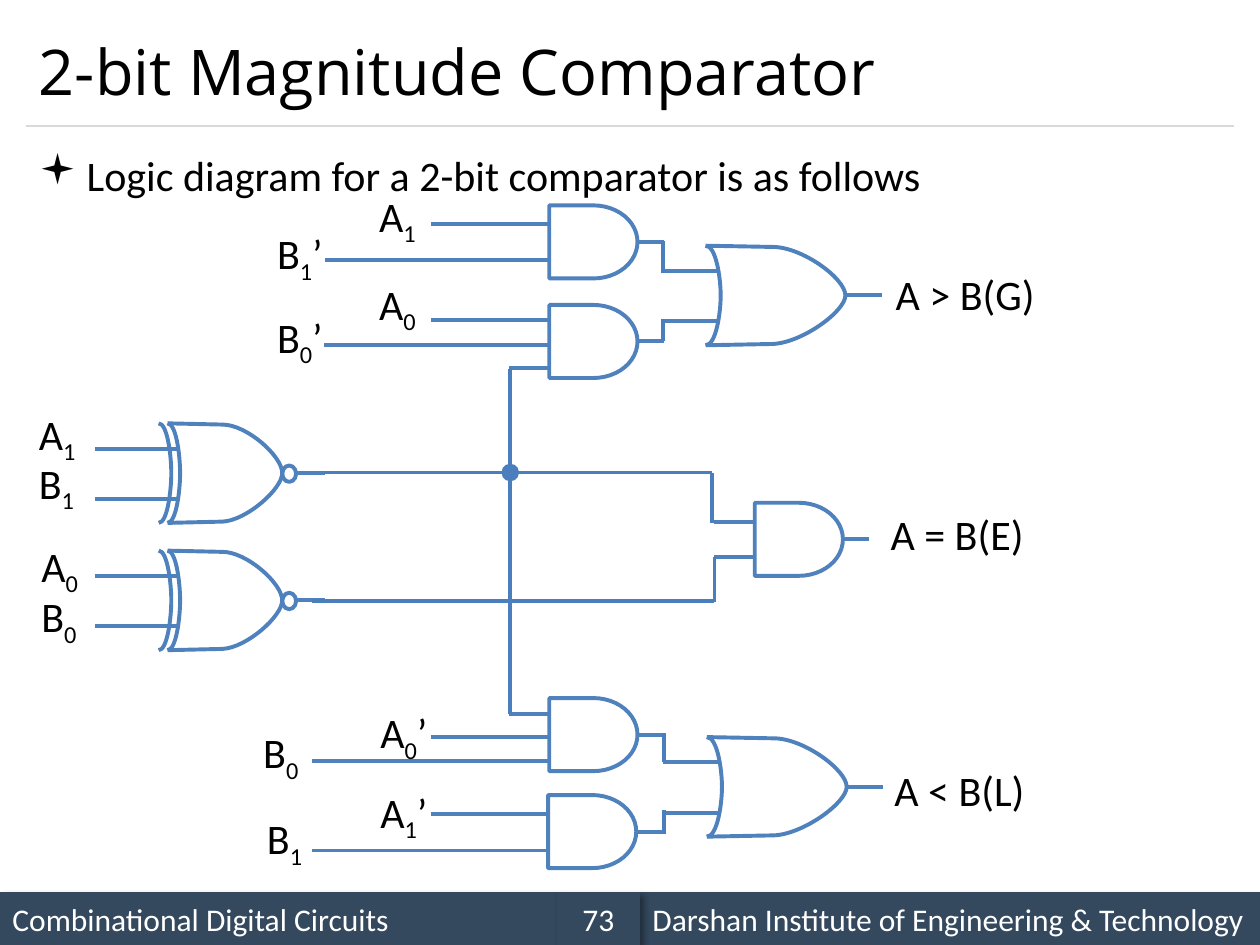
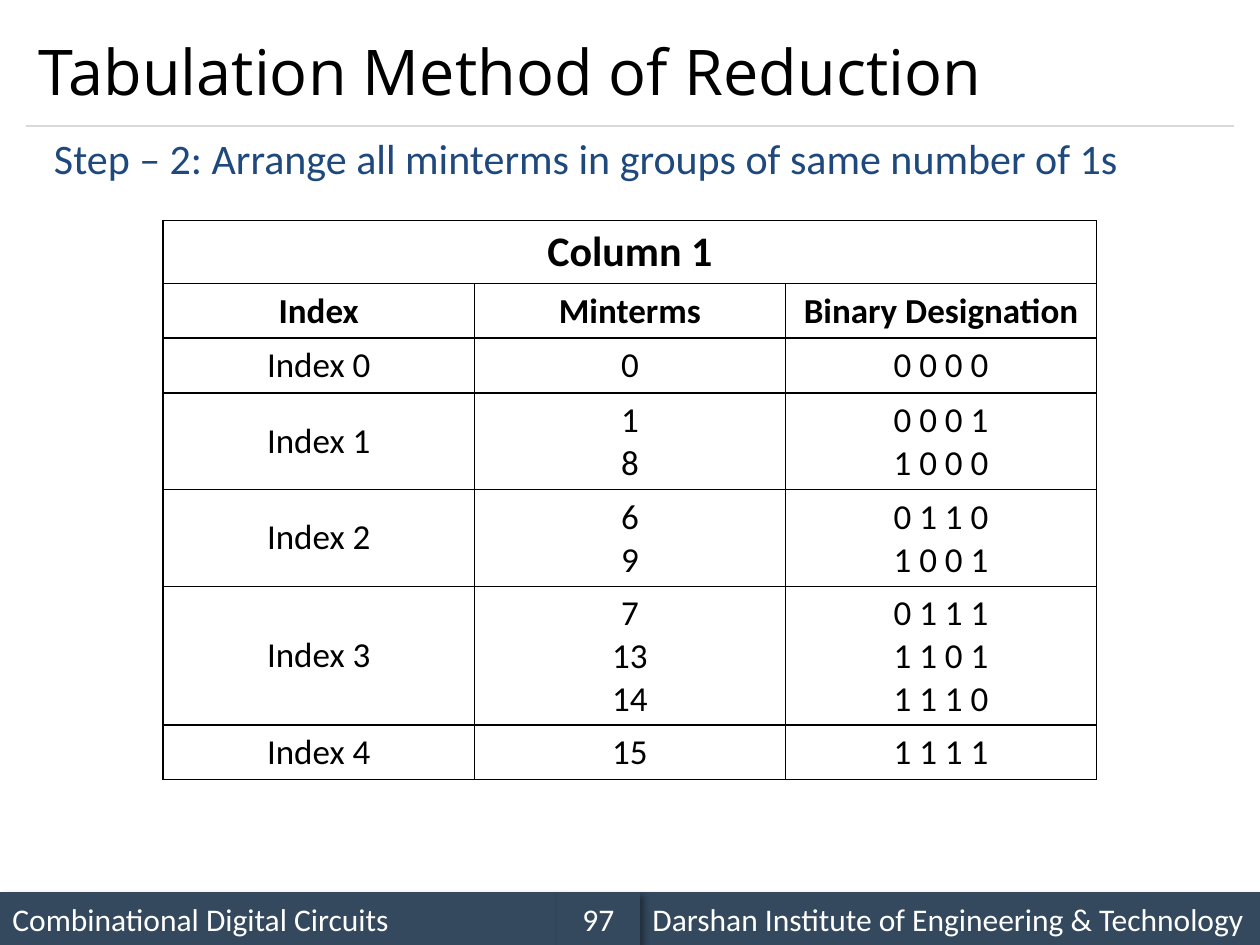
import itertools
from dataclasses import dataclass
from typing import Any, NamedTuple

import pptx
import pptx.dml.color
import pptx.enum.shapes
import pptx.enum.text
import pptx.oxml
import pptx.oxml.ns
import pptx.util

BLACK = pptx.dml.color.RGBColor(0x00, 0x00, 0x00)
WHITE = pptx.dml.color.RGBColor(0xFF, 0xFF, 0xFF)
BAND = pptx.dml.color.RGBColor(0x34, 0x49, 0x5E)
RULE = pptx.dml.color.RGBColor(0xD9, 0xD9, 0xD9)
GATE = pptx.dml.color.RGBColor(0x4F, 0x81, 0xBD)
WIRE = pptx.dml.color.RGBColor(0x4B, 0x7E, 0xBC)
STEP = pptx.dml.color.RGBColor(0x1F, 0x49, 0x7D)

SHAPE = pptx.enum.shapes.MSO_SHAPE
MIDDLE = pptx.enum.text.MSO_ANCHOR.MIDDLE
TOP = pptx.enum.text.MSO_ANCHOR.TOP
LEFT = pptx.enum.text.PP_ALIGN.LEFT
CENTER = pptx.enum.text.PP_ALIGN.CENTER

PAGE_WIDTH, PAGE_HEIGHT = 10, 7.5
GATE_HEIGHT = 0.79
AND_WIDTH, AND_HEIGHT = 0.7, 0.58
COLUMN_WIDTH, ROW_HEIGHT = 2.47, 0.41

Point = tuple[float, float]
Segment = tuple[Point, ...]


def inch(value: float) -> int:
    return pptx.util.Cm(value * 2.54)


def font_format(size: float, color: Any = BLACK, name: str = "Calibri", bold: bool = False) -> dict[str, Any]:
    return {"size": pptx.util.Pt(size), "name": name, "bold": bold, "color": color}


BODY = font_format(24)
TITLE = font_format(36, name="Open Sans")
FOOTER = font_format(18, WHITE)


class Area(NamedTuple):
    left: float
    top: float
    width: float
    height: float

    def lengths(self) -> list[int]:
        return [inch(value) for value in self]


class Wire(NamedTuple):
    start: Point
    end: Point
    color: Any = GATE
    weight: float = 2.25
    dot: bool = False


class Label(NamedTuple):
    text: str
    left: float
    top: float
    width: float = 0.51


@dataclass
class AndGate:
    left: float
    top: float
    inputs: list[Point]


@dataclass
class OrGate:
    left: float
    top: float
    width: float
    bulge: float
    lead: float


class IndexGroup(NamedTuple):
    name: str
    minterms: list[int]


AND_GATES = [
    AndGate(4.36, 1.63, [(3.42, 1.78), (2.58, 2.06)]),
    AndGate(4.36, 2.42, [(3.42, 2.54), (2.57, 2.74), (4.04, 2.92)]),
    AndGate(4.36, 5.54, [(4.04, 5.67), (3.42, 5.85), (2.48, 6.04)]),
    AndGate(4.35, 6.31, [(3.42, 6.46), (2.48, 6.75)]),
    AndGate(5.99, 3.99, [(5.67, 4.14), (5.67, 4.42)]),
]
OR_GATES = [OrGate(5.6, 1.95, 1.11, 0.12, 5.25), OrGate(5.61, 5.85, 1.11, 0.12, 5.26)]
XNOR_GATES = [OrGate(1.33, 3.36, 0.91, 0.1, 0.75), OrGate(1.33, 4.37, 0.91, 0.1, 0.75)]

LINKS = [
    ((2.57, 3.75), (5.65, 3.75)),
    ((5.65, 3.75), (5.65, 4.15)),
    ((2.48, 4.77), (5.67, 4.77)),
    ((5.67, 4.42), (5.67, 4.78)),
    ((4.05, 3.73), (4.05, 5.67)),
    ((5.26, 1.91), (5.26, 2.17)),
    ((5.26, 2.53), (5.26, 2.71)),
    ((5.27, 5.82), (5.27, 6.05)),
    ((5.27, 6.43), (5.27, 6.62)),
]
LABELS = [
    Label("A1", 0.21, 3.19),
    Label("B1", 0.21, 3.58),
    Label("A0", 0.23, 4.24),
    Label("B0", 0.23, 4.64),
    Label("A1", 2.91, 1.46),
    Label("B1’", 2.1, 1.76, 0.58),
    Label("A0", 2.91, 2.16),
    Label("B0’", 2.1, 2.42, 0.58),
    Label("A0’", 2.92, 5.56, 0.59),
    Label("B0", 1.99, 5.72),
    Label("A1’", 2.92, 6.19, 0.59),
    Label("B1", 2.02, 6.4),
    Label("A > B(G)", 7.01, 2.08, 1.31),
    Label("A = B(E)", 6.97, 3.99, 1.27),
    Label("A < B(L)", 7, 6.02, 1.24),
]
GROUPS = [
    IndexGroup("Index 0", [0]),
    IndexGroup("Index 1", [1, 8]),
    IndexGroup("Index 2", [6, 9]),
    IndexGroup("Index 3", [7, 13, 14]),
    IndexGroup("Index 4", [15]),
]


def set_all(target: Any, values: dict[str, Any]) -> None:
    for name, value in values.items():
        if name == "color":
            target.color.rgb = value
        else:
            setattr(target, name, value)


def add_element(parent: Any, tag: str, **attributes: str) -> Any:
    element = parent.makeelement(pptx.oxml.ns.qn(tag), attributes)
    parent.append(element)
    return element


def write(para: Any, text: str, values: dict[str, Any], subscripts: bool = False) -> None:
    pieces = itertools.groupby(text, str.isdigit) if subscripts else [(False, text)]
    for lowered, letters in pieces:
        span = para.add_run()
        span.text = "".join(letters)
        set_all(span.font, values)
        if lowered:
            span._r.get_or_add_rPr().set("baseline", "-25000")


def add_text(page: Any, area: Area, text: str, values: dict[str, Any], anchor: Any = TOP,
             wrap: bool = True, subscripts: bool = False) -> Any:
    box = page.shapes.add_textbox(*area.lengths())
    set_all(box.text_frame, {"word_wrap": wrap, "vertical_anchor": anchor})
    para = box.text_frame.paragraphs[0]
    write(para, text, values, subscripts)
    return para


def add_wire(page: Any, wire: Wire) -> None:
    ends = [inch(value) for value in (*wire.start, *wire.end)]
    line = page.shapes.add_connector(pptx.enum.shapes.MSO_CONNECTOR.STRAIGHT, *ends)
    set_all(line.line, {"color": wire.color, "width": pptx.util.Pt(wire.weight)})
    if wire.dot:
        add_element(line.line._get_or_add_ln(), "a:tailEnd", type="oval", w="lg", len="lg")
    add_element(line._element.spPr, "a:effectLst")


def outline(shape: Any) -> None:
    shape.shadow.inherit = False
    shape.fill.background()
    set_all(shape.line, {"color": GATE, "width": pptx.util.Pt(2.25)})


def add_outline(page: Any, left: float, top: float, start: Point, segments: list[Segment]) -> None:
    corners = [start] + [segment[-1] for segment in segments]
    lengths = [(inch(left + x), inch(top + y)) for x, y in corners]
    builder = page.shapes.build_freeform(*lengths[0])
    builder.add_line_segments(lengths[1:], close=False)
    shape = builder.convert_to_shape()
    straights = list(shape._element.spPr.iter(pptx.oxml.ns.qn("a:lnTo")))
    for straight, segment in zip(straights, segments):
        if len(segment) == 3:
            bend = straight.makeelement(pptx.oxml.ns.qn("a:cubicBezTo"), {})
            for x, y in segment:
                add_element(bend, "a:pt", x=str(int(inch(x))), y=str(int(inch(y))))
            straight.getparent().replace(straight, bend)
    outline(shape)


def add_back(page: Any, left: float, gate: OrGate) -> None:
    low, mid, tip = GATE_HEIGHT, GATE_HEIGHT / 2, gate.bulge
    add_outline(page, left, gate.top, (0, low), [
        ((0.7 * tip, low), (tip, 0.67 * low), (tip, mid)),
        ((tip, 0.33 * low), (0.7 * tip, 0), (0, 0)),
    ])


def add_or_gate(page: Any, gate: OrGate, exclusive_nor: bool = False) -> None:
    low, mid, tip = GATE_HEIGHT, GATE_HEIGHT / 2, gate.width
    shoulder, bend = 0.48 * tip, 0.69 * tip
    for offset in (0.2, 0.6):
        y = gate.top + offset
        add_wire(page, Wire((gate.lead, y), (gate.left + 0.09, y)))
    add_outline(page, gate.left, gate.top, (0, 0), [
        ((shoulder, 0.01),),
        ((bend, 0.01), (tip, 0.26), (tip, mid)),
        ((tip, 0.52), (bend, 0.77), (shoulder, low - 0.01)),
        ((0, low),),
    ])
    add_back(page, gate.left, gate)
    nose, y = gate.left + tip, gate.top + mid
    if exclusive_nor:
        add_back(page, gate.left - 0.07, gate)
        bubble = Area(nose, y - 0.06, 0.11, 0.13)
        outline(page.shapes.add_shape(SHAPE.OVAL, *bubble.lengths()))
        nose += bubble.width
    add_wire(page, Wire((nose, y), (nose + (0.23 if exclusive_nor else 0.29), y)))


def add_and_gate(page: Any, gate: AndGate) -> None:
    for x, y in gate.inputs:
        add_wire(page, Wire((x, y), (gate.left + 0.01, y)))
    y = gate.top + AND_HEIGHT / 2
    add_wire(page, Wire((gate.left + AND_WIDTH, y), (gate.left + 0.91, y)))
    area = Area(gate.left, gate.top, AND_WIDTH, AND_HEIGHT)
    outline(page.shapes.add_shape(SHAPE.FLOWCHART_DELAY, *area.lengths()))


def add_band(page: Any, area: Area, text: str, align: Any = LEFT) -> None:
    band = page.shapes.add_shape(SHAPE.RECTANGLE, *area.lengths())
    band.fill.solid()
    band.fill.fore_color.rgb = BAND
    band.line.fill.background()
    band.shadow.inherit = False
    effects = band._element.spPr.find(pptx.oxml.ns.qn("a:effectLst"))
    shadow = add_element(effects, "a:outerShdw", blurRad="50800", dist="38100", dir="2700000")
    add_element(add_element(shadow, "a:srgbClr", val="000000"), "a:alpha", val="40000")
    band.text_frame.vertical_anchor = MIDDLE
    para = band.text_frame.paragraphs[0]
    para.alignment = align
    write(para, text, FOOTER)


def add_page(deck: Any, title: str, number: int) -> Any:
    page = deck.slides.add_slide(deck.slide_layouts[6])
    add_band(page, Area(0, 7.08, 4.42, 0.42), "Combinational Digital Circuits")
    add_wire(page, Wire((0.21, 1), (9.79, 1), RULE, 0.75))
    add_band(page, Area(5.08, 7.08, 4.92, 0.42), "Darshan Institute of Engineering & Technology")
    add_band(page, Area(4.42, 7.08, 0.66, 0.42), str(number), CENTER)
    add_text(page, Area(0.21, 0.12, 9.58, 0.88), title, TITLE, MIDDLE)
    return page


def add_comparator(page: Any) -> None:
    para = add_text(page, Area(0.21, 1.08, 9.58, 5.83), "Logic diagram for a 2-bit comparator is as follows", BODY)
    para.line_spacing = 1.14
    properties = para._p.get_or_add_pPr()
    properties.set("marL", str(inch(0.38)))
    properties.set("indent", str(-inch(0.38)))
    add_element(properties, "a:buFont", typeface="Wingdings")
    add_element(properties, "a:buChar", char="▪")
    for gate in XNOR_GATES:
        add_or_gate(page, gate, exclusive_nor=True)
    for gate in AND_GATES:
        add_and_gate(page, gate)
    for gate in OR_GATES:
        add_or_gate(page, gate)
    for start, end in LINKS:
        add_wire(page, Wire(start, end, WIRE, 2))
    add_wire(page, Wire((4.05, 2.93), (4.05, 3.75), WIRE, 2, dot=True))
    for label in LABELS:
        area = Area(label.left, label.top, label.width, 0.5)
        add_text(page, area, label.text, BODY, wrap=False, subscripts=True)


def fill_cell(cell: Any, lines: list[str], values: dict[str, Any]) -> None:
    properties = cell._tc.get_or_add_tcPr()
    for side in ("a:lnL", "a:lnR", "a:lnT", "a:lnB"):
        border = add_element(properties, side, w="12700")
        add_element(add_element(border, "a:solidFill"), "a:srgbClr", val=str(BLACK))
    cell.fill.background()
    cell.vertical_anchor = MIDDLE
    for position, text in enumerate(lines):
        para = cell.text_frame.add_paragraph() if position else cell.text_frame.paragraphs[0]
        para.alignment = CENTER
        write(para, text, values)


def add_minterms(page: Any) -> None:
    rows = [[["Column 1"], [], []], [["Index"], ["Minterms"], ["Binary Designation"]]]
    for group in GROUPS:
        designations = [" ".join(f"{minterm:04b}") for minterm in group.minterms]
        rows.append([[group.name], [str(minterm) for minterm in group.minterms], designations])
    width = 3 * COLUMN_WIDTH
    area = Area((PAGE_WIDTH - width) / 2, 1.75, width, len(rows) * ROW_HEIGHT)
    table = page.shapes.add_table(len(rows), 3, *area.lengths()).table
    set_all(table, {"first_row": False, "horz_banding": False})
    for index, row in enumerate(rows):
        values = font_format(20 if index else 24, bold=index < 2)
        for cell, lines in zip(table.rows[index].cells, row):
            fill_cell(cell, lines, values)
    table.cell(0, 0).merge(table.cell(0, 2))
    step = "Step – 2: Arrange all minterms in groups of same number of 1s"
    add_text(page, Area(0.33, 1, 8.72, 0.5), step, font_format(24, STEP), wrap=False)


def main() -> None:
    deck = pptx.Presentation()
    set_all(deck, {"slide_width": inch(PAGE_WIDTH), "slide_height": inch(PAGE_HEIGHT)})
    add_comparator(add_page(deck, "2-bit Magnitude Comparator", 73))
    add_minterms(add_page(deck, "Tabulation Method of Reduction", 97))
    deck.save("out.pptx")


if __name__ == "__main__":
    main()
